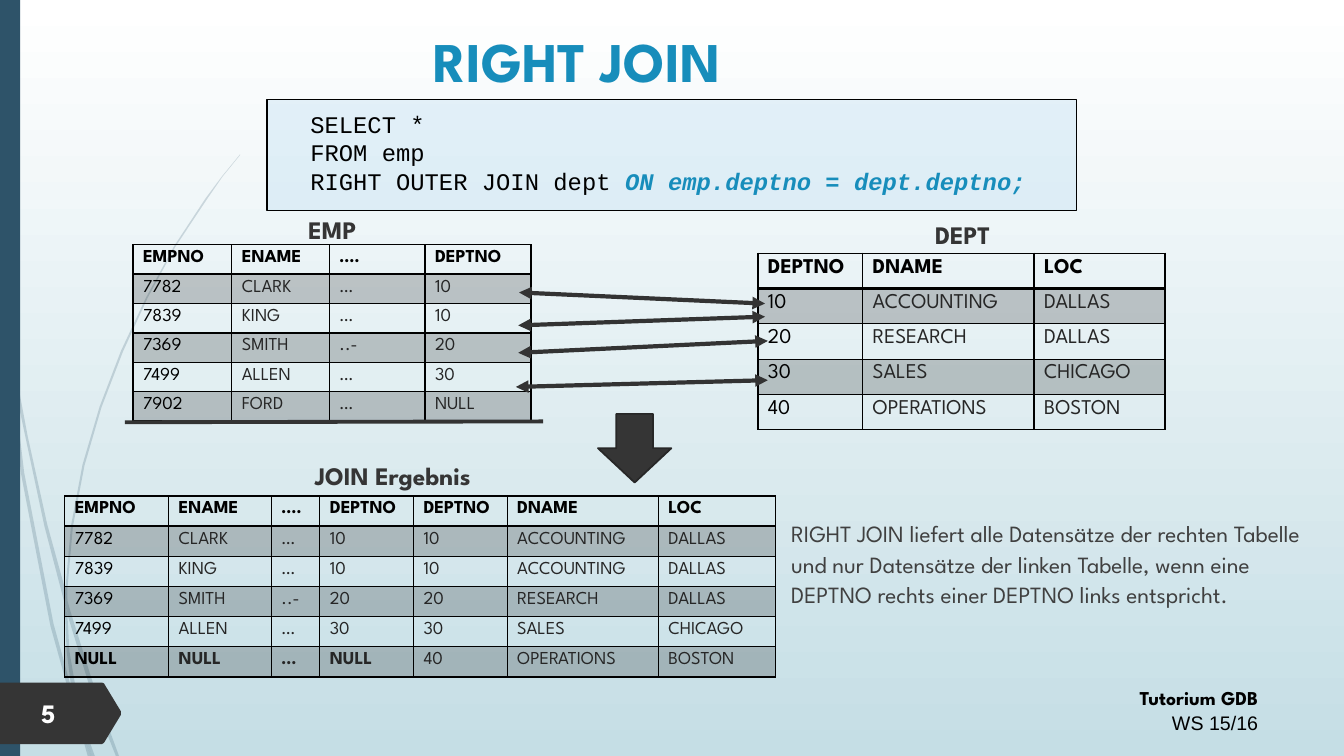
from dataclasses import dataclass
from lxml.etree import SubElement
from pptx import Presentation
from pptx.dml.color import RGBColor
from pptx.enum.shapes import MSO_CONNECTOR, MSO_SHAPE
from pptx.enum.text import MSO_ANCHOR, PP_ALIGN
from pptx.oxml import parse_xml
from pptx.oxml.ns import nsdecls, qn
from pptx.util import Cm, Pt

BLACK = RGBColor(0x00, 0x00, 0x00)
WHITE = RGBColor(0xFF, 0xFF, 0xFF)
MIST = RGBColor(0xC5, 0xDE, 0xE5)
NAVY = RGBColor(0x2E, 0x53, 0x69)
BLUE = RGBColor(0x17, 0x8D, 0xBB)
SKY = RGBColor(0xA8, 0xD5, 0xF0)
CHARCOAL = RGBColor(0x35, 0x35, 0x35)
ARROW_GRAY = RGBColor(0x33, 0x33, 0x33)
OUTLINE = RGBColor(0x27, 0x27, 0x27)
CELL_GRAY = RGBColor(0x26, 0x26, 0x26)
BODY_GRAY = RGBColor(0x40, 0x40, 0x40)
SPARTAN = "League Spartan"
COURIER = "Courier New"


@dataclass
class Run:
    text: str
    size: float
    color: RGBColor
    bold: bool = False
    italic: bool = False
    font: str = SPARTAN


@dataclass
class TextBlock:
    box: tuple[float, float, float, float]
    lines: list[list[Run]]
    align: PP_ALIGN = PP_ALIGN.LEFT
    anchor: MSO_ANCHOR = MSO_ANCHOR.MIDDLE
    spacing: float | None = None


@dataclass
class Grid:
    left: float
    top: float
    columns: list[float]
    row_height: float
    size: float
    rows: list[str]
    bold_cells: int = 0


def set_alpha(fill, percent: int) -> None:
    color = fill._xPr.find(qn("a:solidFill"))[0]
    SubElement(color, qn("a:alpha"), val=str(percent * 1000))


def paint(shape, color: RGBColor, alpha: int = 100) -> None:
    shape.shadow.inherit = False
    shape.fill.solid()
    shape.fill.fore_color.rgb = color
    if alpha < 100:
        set_alpha(shape.fill, alpha)
    shape.line.fill.background()


def outline(shape, color: RGBColor, width: float) -> None:
    shape.line.color.rgb = color
    shape.line.width = Pt(width)


def add_run(paragraph, content: Run) -> None:
    run = paragraph.add_run()
    run.text = content.text
    font = run.font
    font.name, font.size, font.color.rgb = content.font, Pt(content.size), content.color
    font.bold, font.italic = content.bold, content.italic


def fill_text(frame, block: TextBlock) -> None:
    frame.word_wrap = True
    frame.vertical_anchor = block.anchor
    for index, line in enumerate(block.lines):
        paragraph = frame.add_paragraph() if index else frame.paragraphs[0]
        paragraph.alignment = block.align
        if block.spacing:
            paragraph.line_spacing = Pt(block.spacing)
        for content in line:
            add_run(paragraph, content)


def add_text(slide, block: TextBlock) -> None:
    fill_text(slide.shapes.add_textbox(*map(Cm, block.box)).text_frame, block)


def add_outline(slide, points: list[tuple[int, int]], color: RGBColor, alpha: int = 100) -> None:
    builder = slide.shapes.build_freeform(*points[0], scale=Cm(0.01))
    builder.add_line_segments(points[1:], close=True)
    paint(builder.convert_to_shape(), color, alpha)


def set_borders(cell, header: bool) -> None:
    properties = cell._tc.get_or_add_tcPr()
    for index, side in enumerate("LRTB"):
        width = Pt(2 if header and side == "B" else 1)
        properties.insert(index, parse_xml(
            f'<a:ln{side} {nsdecls("a")} w="{width}"><a:solidFill>'
            f'<a:srgbClr val="{BLACK}"/></a:solidFill></a:ln{side}>'))


def add_grid(slide, grid: Grid) -> None:
    table = slide.shapes.add_table(
        len(grid.rows), len(grid.columns), Cm(grid.left), Cm(grid.top),
        Cm(sum(grid.columns)), Cm(grid.row_height * len(grid.rows))).table
    table.first_row = table.horz_banding = False
    for column, width in zip(table.columns, grid.columns):
        column.width = Cm(width)
    for row_index, row in enumerate(grid.rows):
        table.rows[row_index].height = Cm(grid.row_height)
        last = row_index == len(grid.rows) - 1
        for column_index, text in enumerate(row.split()):
            cell = table.cell(row_index, column_index)
            header = row_index == 0
            cell.margin_bottom = 0
            if row_index % 2:
                cell.fill.solid()
                cell.fill.fore_color.rgb = BLACK
                set_alpha(cell.fill, 20)
            else:
                cell.fill.background()
            set_borders(cell, header)
            color = BLACK if header or column_index == 0 else CELL_GRAY
            bold = header or (last and column_index < grid.bold_cells)
            add_run(cell.text_frame.paragraphs[0], Run(text, grid.size, color, bold))


def add_line(slide, ends: tuple[float, float, float, float], width: float, arrows: bool) -> None:
    connector = slide.shapes.add_connector(MSO_CONNECTOR.STRAIGHT, *map(Cm, ends))
    outline(connector, ARROW_GRAY, width)
    if arrows:
        for end in ("a:headEnd", "a:tailEnd"):
            SubElement(connector.line._get_or_add_ln(), qn(end), type="triangle")
    SubElement(connector._element.spPr, qn("a:effectLst"))


WISPS = [
    [(20, 889), (15, 818), (0, 716), (0, 759), (20, 874)],
    [(112, 1326), (163, 1521), (165, 1488), (119, 1321), (70, 1100), (28, 876), (33, 955)],
    [(178, 1542), (170, 1514), (170, 1549), (236, 1763), (292, 1905), (300, 1905), (246, 1758)],
    [(231, 1905), (239, 1905), (203, 1806)],
    [(180, 1735), (135, 1572), (61, 1191), (33, 955), (20, 889), (53, 1194), (127, 1577),
     (178, 1760), (196, 1814), (190, 1796)],
    [(163, 1521), (168, 1641), (180, 1735), (185, 1758), (203, 1806), (201, 1793),
     (175, 1641), (170, 1549)],
    [(170, 1483), (184, 1326), (213, 1173), (256, 1026), (310, 886), (372, 751), (442, 622),
     (521, 503), (561, 445), (605, 391), (605, 389), (559, 445), (518, 500), (439, 620),
     (368, 750), (305, 884), (251, 1025), (208, 1171), (179, 1325), (165, 1483), (165, 1488),
     (170, 1514)],
    [(196, 1814), (221, 1905), (229, 1905)],
    [(170, 1544), (170, 1514), (165, 1488), (163, 1521)],
    [(188, 1758), (180, 1735), (190, 1796), (196, 1814), (229, 1905), (231, 1905), (203, 1806)],
]
BADGE = [(0, 1720), (257, 1720), (262, 1722), (305, 1793), (305, 1801), (262, 1872),
         (257, 1875), (0, 1875)]
EMP = Grid(3.35, 6.17, [2.49, 2.46, 2.41, 2.67], 0.74, 13, [
    "EMPNO ENAME …. DEPTNO", "7782 CLARK … 10", "7839 KING … 10",
    "7369 SMITH ..- 20", "7499 ALLEN … 30", "7902 FORD … NULL"])
DEPT = Grid(19.1, 6.38, [2.64, 4.32, 3.3], 0.89, 15, [
    "DEPTNO DNAME LOC", "10 ACCOUNTING DALLAS", "20 RESEARCH DALLAS",
    "30 SALES CHICAGO", "40 OPERATIONS BOSTON"])
RESULT = Grid(1.63, 12.5, [2.62, 2.59, 1.22, 2.36, 2.36, 3.81, 2.95], 0.76, 13, [
    "EMPNO ENAME …. DEPTNO DEPTNO DNAME LOC", "7782 CLARK … 10 10 ACCOUNTING DALLAS",
    "7839 KING … 10 10 ACCOUNTING DALLAS", "7369 SMITH ..- 20 20 RESEARCH DALLAS",
    "7499 ALLEN … 30 30 SALES CHICAGO", "NULL NULL … NULL 40 OPERATIONS BOSTON"], 4)
MATCHES = [(13.08, 7.37, 19.28, 7.65), (13.06, 8.2, 19.28, 7.98),
           (13.06, 8.89, 19.35, 8.59), (13, 9.75, 19.35, 9.58)]
LABELS = [("JOIN Ergebnis", 6.32, 11.48), ("EMP", 4.8, 5.26), ("DEPT", 20.68, 5.41)]
QUERY = TextBlock((6.73, 2.51, 20.4, 2.79), [
    [Run("SELECT * ", 17, BLACK, font=COURIER)],
    [Run("FROM emp", 17, BLACK, font=COURIER)],
    [Run("RIGHT OUTER JOIN dept ", 17, BLACK, font=COURIER),
     Run("ON emp.deptno = dept.deptno;", 17, BLUE, True, True, COURIER)]], spacing=20.4)
TEXTS = [
    TextBlock((18.75, 17.07, 13.21, 1.63), [
        [Run("Tutorium GDB", 14, BLACK, True)],
        [Run("WS 15/16", 14, BLACK, font="Arial")]], PP_ALIGN.RIGHT, spacing=17.9),
    TextBlock((0.79, 17.42, 1.78, 1.07), [[Run("5", 19, WHITE, True)]]),
    TextBlock((3.15, 0.48, 22.78, 2.06), [[Run("RIGHT JOIN", 40, BLUE, True)]], PP_ALIGN.CENTER),
    *[TextBlock((left, top, 7.16, 1.02), [[Run(text, 18, CHARCOAL, True)]], PP_ALIGN.CENTER)
      for text, left, top in LABELS],
    TextBlock((19.69, 12.9, 13.69, 3.58), [[Run(
        "RIGHT JOIN liefert alle Datensätze der rechten Tabelle und nur Datensätze der linken "
        "Tabelle, wenn eine DEPTNO rechts einer DEPTNO links entspricht.", 16.6, BODY_GRAY)]],
        anchor=MSO_ANCHOR.TOP, spacing=21.7),
]

presentation = Presentation()
presentation.slide_width, presentation.slide_height = Cm(33.87), Cm(19.05)
slide = presentation.slides.add_slide(presentation.slide_layouts[6])
background = slide.background.fill
background.gradient()
background.gradient_angle = 270
for stop, color in zip(background.gradient_stops, (WHITE, MIST)):
    stop.color.rgb = color

for wisp in WISPS:
    add_outline(slide, wisp, NAVY, 20)
side_bar = slide.shapes.add_shape(MSO_SHAPE.RECTANGLE, 0, 0, Cm(0.51), Cm(19.05))
paint(side_bar, NAVY)
add_outline(slide, BADGE, CHARCOAL)

for grid in (EMP, DEPT, RESULT):
    add_grid(slide, grid)
query_box = slide.shapes.add_shape(MSO_SHAPE.RECTANGLE, *map(Cm, QUERY.box))
paint(query_box, SKY, 27)
outline(query_box, BLACK, 0.75)
query_frame = query_box.text_frame
query_frame.margin_left, query_frame.margin_top = Cm(1.09), 0
fill_text(query_frame, QUERY)

for match in MATCHES:
    add_line(slide, match, 3, True)
add_line(slide, (3.15, 10.64, 13.69, 10.62), 2.75, False)
down_arrow = slide.shapes.add_shape(MSO_SHAPE.DOWN_ARROW, Cm(15.07), Cm(10.43), Cm(1.85), Cm(1.73))
paint(down_arrow, CHARCOAL)
outline(down_arrow, OUTLINE, 1.25)
for block in TEXTS:
    add_text(slide, block)

presentation.save("out.pptx")
